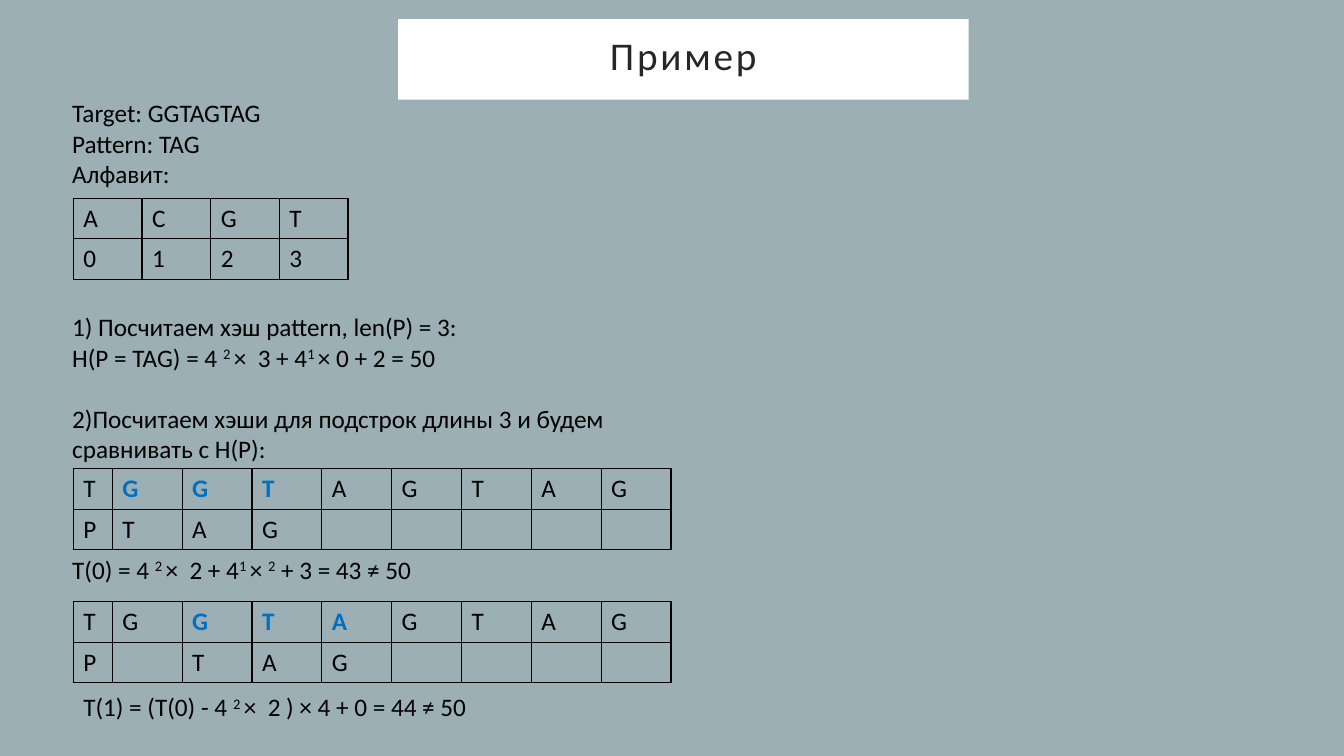
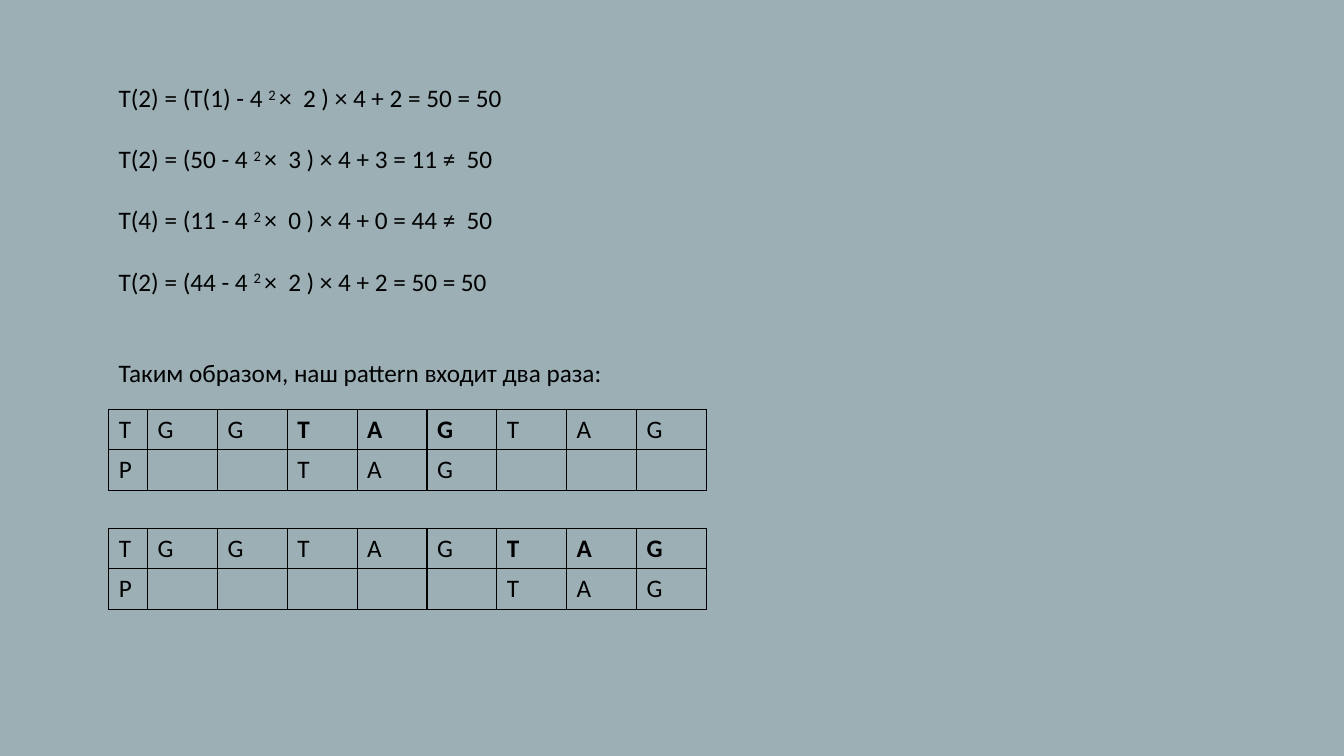
from dataclasses import dataclass

from lxml import etree
from pptx import Presentation
from pptx.dml.color import RGBColor
from pptx.enum.text import MSO_ANCHOR, MSO_AUTO_SIZE, PP_ALIGN
from pptx.oxml.ns import qn
from pptx.slide import Slide
from pptx.util import Cm, Pt

MIDDLE = MSO_ANCHOR.MIDDLE
NO_AUTOFIT = MSO_AUTO_SIZE.NONE
CENTER = PP_ALIGN.CENTER
TITLE_ONLY, BLANK = 5, 6

COLORS = {
    "background": "9BAFB5",
    "title_band": "FFFFFF",
    "title": "262626",
    "text": "000000",
    "highlight": "0070C0",
}
FONT = "Calibri"
BODY_SIZE = 18
LINE_HEIGHT = 22
SUPERSCRIPT_MARK = "^"

TARGET = "GGTAGTAG"
PATTERN = "TAG"
ALPHABET = "ACGT"
LABEL_WIDTH, LETTER_WIDTH, ALPHABET_WIDTH = 0.98, 1.76, 1.73
ROW_HEIGHT = 1.02


@dataclass(frozen=True)
class Line:
    text: str
    gap_lines: int = 0


@dataclass(frozen=True)
class TextBlock:
    left: float
    top: float
    height: float
    lines: tuple[Line, ...]
    width: float = 16


@dataclass(frozen=True)
class MatchTable:
    left: float
    top: float
    shift: int
    color: str = "text"


EXAMPLE_TEXTS = (
    TextBlock(1.57, 2.34, 9.5, (
        Line("Target: GGTAGTAG"),
        Line("Pattern: TAG"),
        Line("Алфавит:"),
        Line("1) Посчитаем хэш pattern, len(P) = 3:", 4),
        Line("H(P = TAG) = 4 ^2 ^×  3 + 4^1 ^× 0 + 2 = 50"),
        Line("2)Посчитаем хэши для подстрок длины 3 и будем сравнивать с H(P):", 1),
    )),
    TextBlock(1.57, 13.84, 1.02, (Line("T(0) = 4 ^2 ^×  2 + 4^1 ^× ^2^ + 3 = 43 ≠ 50"),)),
    TextBlock(1.85, 17.3, 1.02, (Line("T(1) = (T(0) - 4 ^2 ^×  2 ) × 4 + 0 = 44 ≠ 50"),)),
)
EXAMPLE_TABLES = (
    MatchTable(1.85, 11.81, 0, "highlight"),
    MatchTable(1.85, 15.16, 1, "highlight"),
)
RESULT_TEXTS = (
    TextBlock(2.74, 1.96, 7.95, (
        Line("T(2) = (T(1) - 4 ^2 ^×  2 ) × 4 + 2 = 50 = 50"),
        Line("T(2) = (50 - 4 ^2 ^×  3 ) × 4 + 3 = 11 ≠  50", 1),
        Line("T(4) = (11 - 4 ^2 ^×  0 ) × 4 + 0 = 44 ≠  50", 1),
        Line("T(2) = (44 - 4 ^2 ^×  2 ) × 4 + 2 = 50 = 50", 1),
        Line("Таким образом, наш pattern входит два раза:", 2),
    )),
)
RESULT_TABLES = (MatchTable(2.74, 10.31, 2), MatchTable(2.74, 13.31, 5))


def rgb(name: str) -> RGBColor:
    return RGBColor.from_string(COLORS[name])


def format_run(run, size: float = BODY_SIZE, color: str = "text", bold: bool = False) -> None:
    run.font.name = FONT
    run.font.size = Pt(size)
    run.font.bold = bold
    run.font.color.rgb = rgb(color)


def add_title(slide: Slide, text: str) -> None:
    title = slide.shapes.title
    title.left, title.top, title.width, title.height = Cm(10.03), Cm(0.48), Cm(14.38), Cm(2.03)
    title.fill.solid()
    title.fill.fore_color.rgb = rgb("title_band")
    frame = title.text_frame
    frame.text = text
    frame.auto_size = NO_AUTOFIT
    frame.vertical_anchor = MIDDLE
    frame.margin_left = frame.margin_right = frame.margin_top = frame.margin_bottom = Cm(0.5)
    paragraph = frame.paragraphs[0]
    paragraph.alignment = CENTER
    paragraph.line_spacing = 0.8
    run = paragraph.runs[0]
    format_run(run, 28, "title")
    run._r.get_or_add_rPr().set("spc", "200")


def add_text(slide: Slide, block: TextBlock) -> None:
    box = slide.shapes.add_textbox(
        Cm(block.left), Cm(block.top), Cm(block.width), Cm(block.height))
    frame = box.text_frame
    frame.word_wrap = True
    for index, line in enumerate(block.lines):
        paragraph = frame.add_paragraph() if index else frame.paragraphs[0]
        paragraph.space_before = Pt(line.gap_lines * LINE_HEIGHT)
        for part, text in enumerate(line.text.split(SUPERSCRIPT_MARK)):
            run = paragraph.add_run()
            run.text = text
            format_run(run)
            if part % 2:
                run._r.get_or_add_rPr().set("baseline", "30000")


def set_borders(cell) -> None:
    properties = cell._tc.get_or_add_tcPr()
    for side in ("a:lnL", "a:lnR", "a:lnT", "a:lnB"):
        border = etree.SubElement(properties, qn(side), w=str(Pt(1)))
        fill = etree.SubElement(border, qn("a:solidFill"))
        etree.SubElement(fill, qn("a:srgbClr"), val=COLORS["text"])


def add_grid(slide: Slide, left: float, top: float, widths: list[float], rows: list[list[str]],
             marked: range = range(0), marked_color: str = "text") -> None:
    frame = slide.shapes.add_table(
        len(rows), len(widths), Cm(left), Cm(top), Cm(sum(widths)), Cm(ROW_HEIGHT * len(rows)))
    table = frame.table
    table.first_row = table.horz_banding = False
    for column, width in zip(table.columns, widths):
        column.width = Cm(width)
    for row_index, values in enumerate(rows):
        table.rows[row_index].height = Cm(ROW_HEIGHT)
        for column_index, value in enumerate(values):
            cell = table.cell(row_index, column_index)
            set_borders(cell)
            cell.fill.background()
            if not value:
                continue
            cell.text_frame.text = value
            is_marked = row_index == 0 and column_index in marked
            format_run(cell.text_frame.paragraphs[0].runs[0],
                       color=marked_color if is_marked else "text", bold=is_marked)


def add_match(slide: Slide, match: MatchTable) -> None:
    after = len(TARGET) - len(PATTERN) - match.shift
    rows = [["T", *TARGET], ["P", *[""] * match.shift, *PATTERN, *[""] * after]]
    widths = [LABEL_WIDTH] + [LETTER_WIDTH] * len(TARGET)
    first = match.shift + 1
    add_grid(slide, match.left, match.top, widths, rows,
             range(first, first + len(PATTERN)), match.color)


def fill_slide(slide: Slide, texts: tuple[TextBlock, ...], matches: tuple[MatchTable, ...]) -> None:
    for block in texts:
        add_text(slide, block)
    for match in matches:
        add_match(slide, match)


def main() -> None:
    presentation = Presentation()
    presentation.slide_width, presentation.slide_height = Cm(33.87), Cm(19.05)
    background = presentation.slide_master.background.fill
    background.solid()
    background.fore_color.rgb = rgb("background")

    example = presentation.slides.add_slide(presentation.slide_layouts[TITLE_ONLY])
    fill_slide(example, EXAMPLE_TEXTS, EXAMPLE_TABLES)
    codes = [str(code) for code in range(len(ALPHABET))]
    add_grid(example, 1.85, 5, [ALPHABET_WIDTH] * len(ALPHABET), [list(ALPHABET), codes])
    add_title(example, "Пример")

    result = presentation.slides.add_slide(presentation.slide_layouts[BLANK])
    fill_slide(result, RESULT_TEXTS, RESULT_TABLES)

    presentation.save("out.pptx")


if __name__ == "__main__":
    main()
